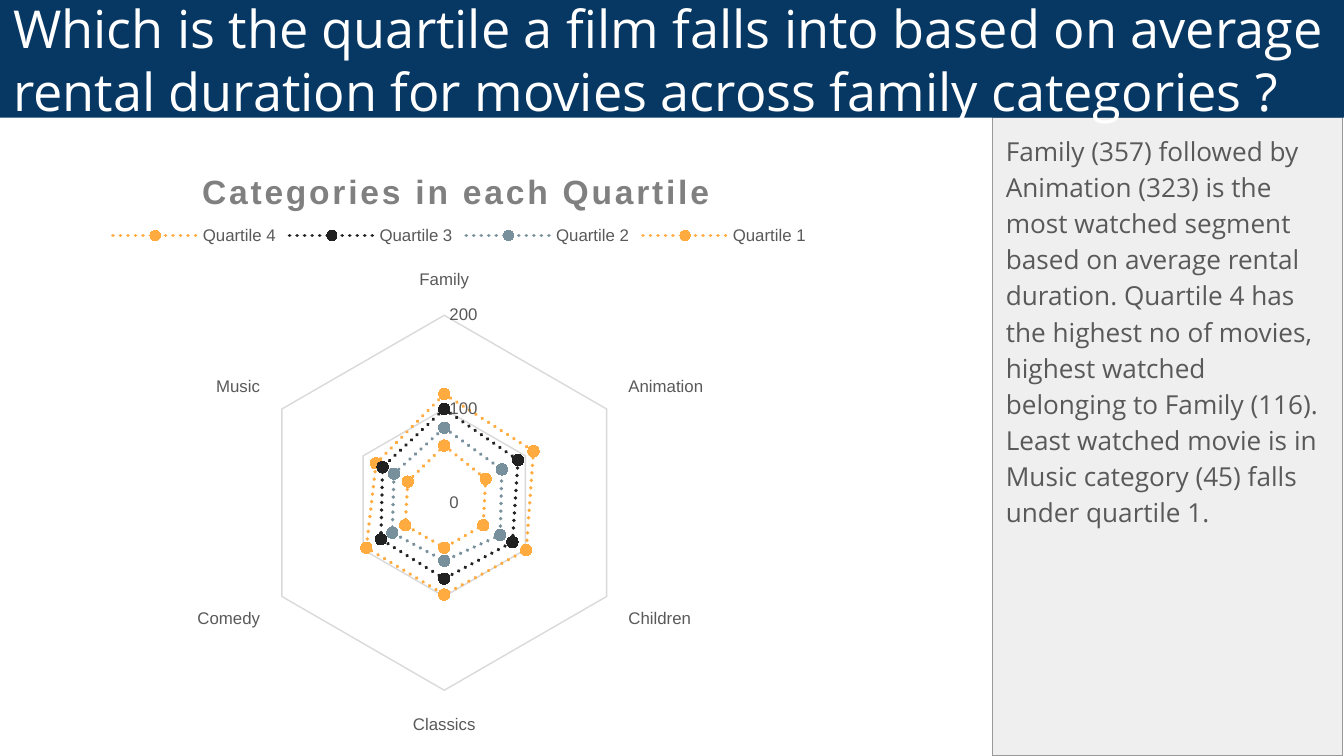
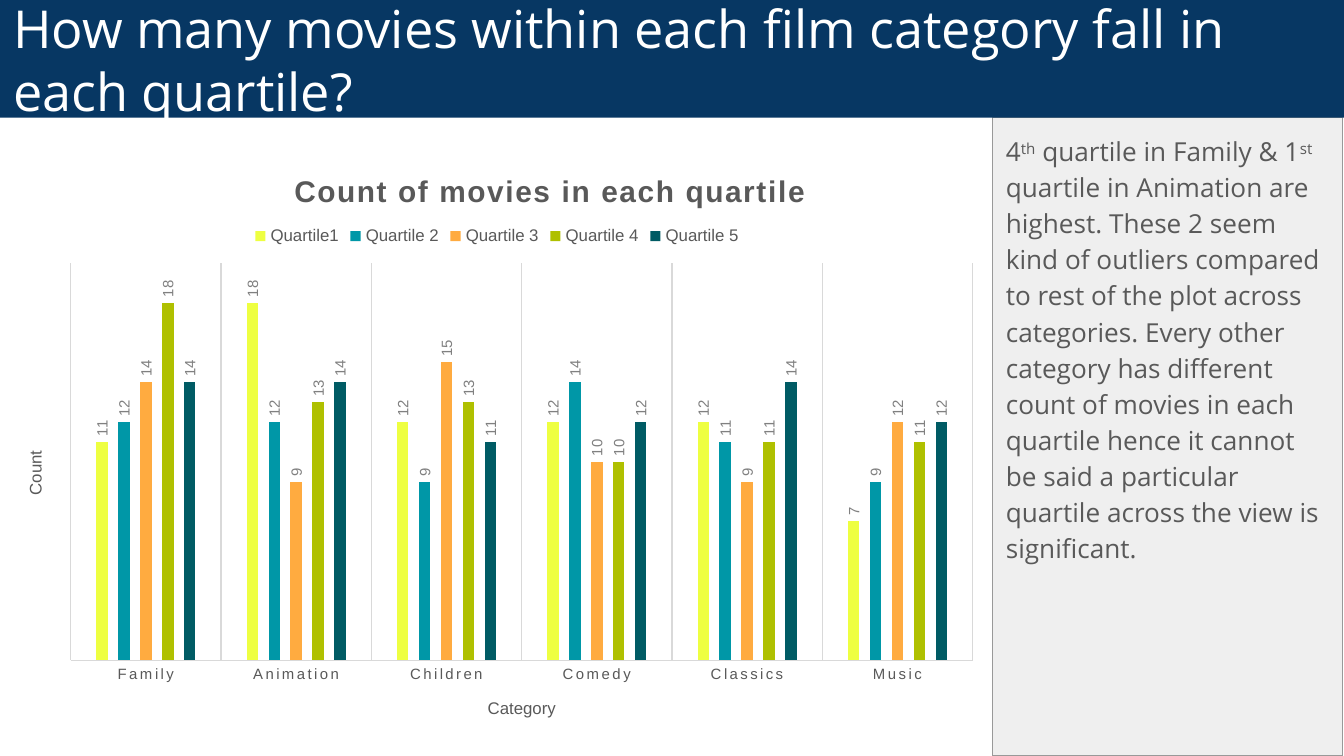
from lxml.etree import SubElement
from pptx import Presentation
from pptx.chart.data import CategoryChartData
from pptx.dml.color import RGBColor
from pptx.enum.chart import (XL_CHART_TYPE, XL_LABEL_POSITION, XL_LEGEND_POSITION,
                             XL_MARKER_STYLE, XL_TICK_MARK)
from pptx.enum.dml import MSO_LINE
from pptx.enum.shapes import MSO_SHAPE
from pptx.enum.text import MSO_ANCHOR, PP_ALIGN
from pptx.oxml.ns import qn
from pptx.util import Pt

PX = 9525  # EMU in one px, 96 px to the inch

NAVY = RGBColor(0x07, 0x37, 0x63)
WHITE = RGBColor(0xFF, 0xFF, 0xFF)
BLACK = RGBColor(0x00, 0x00, 0x00)
PANEL = RGBColor(0xEF, 0xEF, 0xEF)
PANEL_EDGE = RGBColor(0x99, 0x99, 0x99)
TEXT_GRAY = RGBColor(0x59, 0x59, 0x59)
LABEL_GRAY = RGBColor(0x80, 0x80, 0x80)
GRID = RGBColor(0xD9, 0xD9, 0xD9)
ORANGE = RGBColor(0xFF, 0xAB, 0x40)
CHARCOAL = RGBColor(0x21, 0x21, 0x21)
SLATE = RGBColor(0x78, 0x90, 0x9C)
YELLOW = RGBColor(0xEE, 0xFF, 0x41)
TEAL = RGBColor(0x00, 0x97, 0xA7)
LIME = RGBColor(0xAF, 0xC0, 0x00)
DEEP_TEAL = RGBColor(0x00, 0x5B, 0x64)

UPWARD = "-5400000"

SLIDES = [
    {
        "question": "Which is the quartile a film falls into based on average rental "
                    "duration for movies across family categories ?",
        "finding": [
            ("Family (357) followed by Animation (323) is the most watched segment based on "
             "average rental duration. Quartile 4 has the highest no of movies, highest watched "
             "belonging to Family (116). Least watched movie is in Music category (45) falls "
             "under quartile 1.", False),
        ],
        "chart_type": XL_CHART_TYPE.RADAR_MARKERS,
        "chart_box": (-41, 95, 724, 444),
        "heading": ("Categories in each Quartile", {"size": 18, "color": LABEL_GRAY, "spacing": 150}),
        "heading_at": (0.25, 0.05),
        "legend_at": (0.16, 0.14, 0.7, 0.05),
        "plot_at": (0.31, 0.29, 0.37, 0.61),
        "label_size": 9,
        "categories": ["Family", "Animation", "Children", "Classics", "Comedy", "Music"],
        "series": [
            ("Quartile 4", ORANGE, [116, 110, 101, 98, 96, 84]),
            ("Quartile 3", CHARCOAL, [100, 91, 84, 81, 78, 76]),
            ("Quartile 2", SLATE, [80, 71, 69, 62, 64, 62]),
            ("Quartile 1", ORANGE, [61, 51, 48, 48, 48, 45]),
        ],
        "value_max": 200,
    },
    {
        "question": "How many movies within each film category fall in each quartile?",
        "finding": [
            ("4", False), ("th", True), (" quartile in Family & 1", False), ("st", True),
            (" quartile in Animation are highest. These 2 seem kind of outliers compared to rest "
             "of the plot across categories. Every other category has different count of movies "
             "in each quartile hence it cannot be said a particular quartile across the view is "
             "significant.", False),
        ],
        "chart_type": XL_CHART_TYPE.COLUMN_CLUSTERED,
        "chart_box": (1, 102, 708, 430),
        "heading": ("Count of movies in each quartile", {"size": 16, "color": TEXT_GRAY, "spacing": 100}),
        "heading_at": (0.29, 0.04),
        "legend_at": (0.25, 0.13, 0.5, 0.05),
        "plot_at": (0.07, 0.2, 0.91, 0.66),
        "label_size": 8,
        "categories": ["Family", "Animation", "Children", "Comedy", "Classics", "Music"],
        "series": [
            ("Quartile1", YELLOW, [11, 18, 12, 12, 12, 7]),
            ("Quartile 2", TEAL, [12, 12, 9, 14, 11, 9]),
            ("Quartile 3", ORANGE, [14, 9, 15, 10, 9, 12]),
            ("Quartile 4", LIME, [18, 13, 13, 10, 11, 11]),
            ("Quartile 5", DEEP_TEAL, [14, 14, 11, 12, 14, 12]),
        ],
        "value_max": 20,
    },
]


def write(frame, text, size, color, font="Arial", bold=False, spacing=None):
    """Fill the first paragraph with a string or with (text, superscript) pairs."""
    paragraph = frame.paragraphs[0]
    for words, raised in [(text, False)] if isinstance(text, str) else text:
        run = paragraph.add_run()
        run.text = words
        run.font.name = font
        run.font.size = Pt(size)
        run.font.bold = bold
        run.font.color.rgb = color
        if raised:
            run._r.get_or_add_rPr().set("baseline", "30000")
        if spacing:
            run._r.get_or_add_rPr().set("spc", str(spacing))
    return paragraph


def place(element, index, fractions, inner=False):
    """Fix a chart part at (x, y[, w, h]) as fractions of the chart area."""
    for old in element.findall(qn("c:layout")):
        element.remove(old)
    layout = SubElement(element, qn("c:layout"))
    element.insert(index, layout)
    manual = SubElement(layout, qn("c:manualLayout"))
    if inner:
        SubElement(manual, qn("c:layoutTarget")).set("val", "inner")
    for tag in ("xMode", "yMode"):
        SubElement(manual, qn(f"c:{tag}")).set("val", "edge")
    for tag, fraction in zip("xywh", fractions):
        SubElement(manual, qn(f"c:{tag}")).set("val", str(fraction))


presentation = Presentation()
presentation.slide_width = 960 * PX
presentation.slide_height = 540 * PX

for content in SLIDES:
    slide = presentation.slides.add_slide(presentation.slide_layouts[6])

    # Findings panel, then the title band over it
    for box, fill, edge, anchor, text, size, color in (
        ((709, 84, 250, 456), PANEL, PANEL_EDGE, MSO_ANCHOR.TOP, content["finding"], 14, TEXT_GRAY),
        ((0, 0, 960, 84), NAVY, None, MSO_ANCHOR.MIDDLE, content["question"], 28, WHITE),
    ):
        band = slide.shapes.add_shape(MSO_SHAPE.RECTANGLE, *(n * PX for n in box))
        band.shadow.inherit = False
        band.fill.solid()
        band.fill.fore_color.rgb = fill
        if edge:
            band.line.color.rgb = edge
            band.line.width = Pt(0.75)
        else:
            band.line.fill.background()
        frame = band.text_frame
        frame.word_wrap = True
        frame.vertical_anchor = anchor
        frame.margin_left = frame.margin_right = Pt(7.2)
        frame.margin_top = frame.margin_bottom = Pt(7.2)
        paragraph = write(frame, text, size, color, font="Open Sans")
        paragraph.alignment = PP_ALIGN.LEFT
        if edge:
            paragraph.line_spacing = 1.15
            paragraph.space_after = Pt(16)

    # Chart with its heading and legend
    data = CategoryChartData()
    data.categories = content["categories"]
    for name, _, values in content["series"]:
        data.add_series(name, values)
    chart = slide.shapes.add_chart(
        content["chart_type"], *(n * PX for n in content["chart_box"]), data).chart
    chart.font.name = "Arial"
    chart.font.size = Pt(10)
    chart.font.color.rgb = BLACK
    heading, heading_format = content["heading"]
    chart.has_title = True
    write(chart.chart_title.text_frame, heading, bold=True, **heading_format)
    chart.chart_title.include_in_layout = False
    chart.has_legend = True
    chart.legend.position = XL_LEGEND_POSITION.TOP
    chart.legend.include_in_layout = False
    place(chart.chart_title._element, 1, content["heading_at"])
    place(chart.legend._element, 1, content["legend_at"])
    place(chart._chartSpace.chart.plotArea, 0, content["plot_at"], inner=True)

    # Axes
    categories, counts = chart.category_axis, chart.value_axis
    for font, size in ((chart.legend.font, 9), (counts.tick_labels.font, 9),
                       (categories.tick_labels.font, content["label_size"])):
        font.name = "Arial"
        font.size = Pt(size)
        font.color.rgb = TEXT_GRAY
    for axis in (categories, counts):
        axis.major_tick_mark = axis.minor_tick_mark = XL_TICK_MARK.NONE
    counts.minimum_scale = 0
    counts.maximum_scale = content["value_max"]
    counts.major_unit = content["value_max"] / 2
    counts.format.line.fill.background()

    plot = chart.plots[0]
    plot.vary_by_categories = False
    is_radar = content["chart_type"] == XL_CHART_TYPE.RADAR_MARKERS
    categories.has_major_gridlines = not is_radar
    counts.has_major_gridlines = is_radar
    gridded = counts if is_radar else categories
    for line in (categories.format.line, gridded.major_gridlines.format.line):
        line.color.rgb = GRID
        line.width = Pt(0.75)

    if not is_radar:
        plot.gap_width = 444
        plot.overlap = -90
        counts.visible = False
        for axis, caption in ((categories, "Category"), (counts, "Count")):
            axis.has_title = True
            write(axis.axis_title.text_frame, caption, 9, TEXT_GRAY)
        counts.axis_title.text_frame._txBody.find(qn("a:bodyPr")).set("rot", UPWARD)
        label_format = categories._element.find(qn("c:txPr") + "//" + qn("a:defRPr"))
        label_format.set("spc", "120")

    # Quartiles
    for quartile, (_, color, _) in zip(plot.series, content["series"]):
        if is_radar:
            line = quartile.format.line
            line.color.rgb = color
            line.width = Pt(2)
            line.dash_style = MSO_LINE.ROUND_DOT
            line._get_or_add_ln().set("cap", "rnd")
            marker = quartile.marker
            marker.style = XL_MARKER_STYLE.CIRCLE
            marker.size = 6
            marker.format.fill.solid()
            marker.format.fill.fore_color.rgb = color
            marker.format.line.color.rgb = color
        else:
            quartile.invert_if_negative = False
            quartile.format.fill.solid()
            quartile.format.fill.fore_color.rgb = color
            labels = quartile.data_labels
            labels.show_value = True
            labels.position = XL_LABEL_POSITION.OUTSIDE_END
            labels.font.name = "Arial"
            labels.font.size = Pt(8)
            labels.font.color.rgb = LABEL_GRAY
            turned = labels._element.find(qn("c:txPr") + "/" + qn("a:bodyPr"))
            turned.set("rot", UPWARD)
            turned.set("vert", "horz")

presentation.save("out.pptx")
